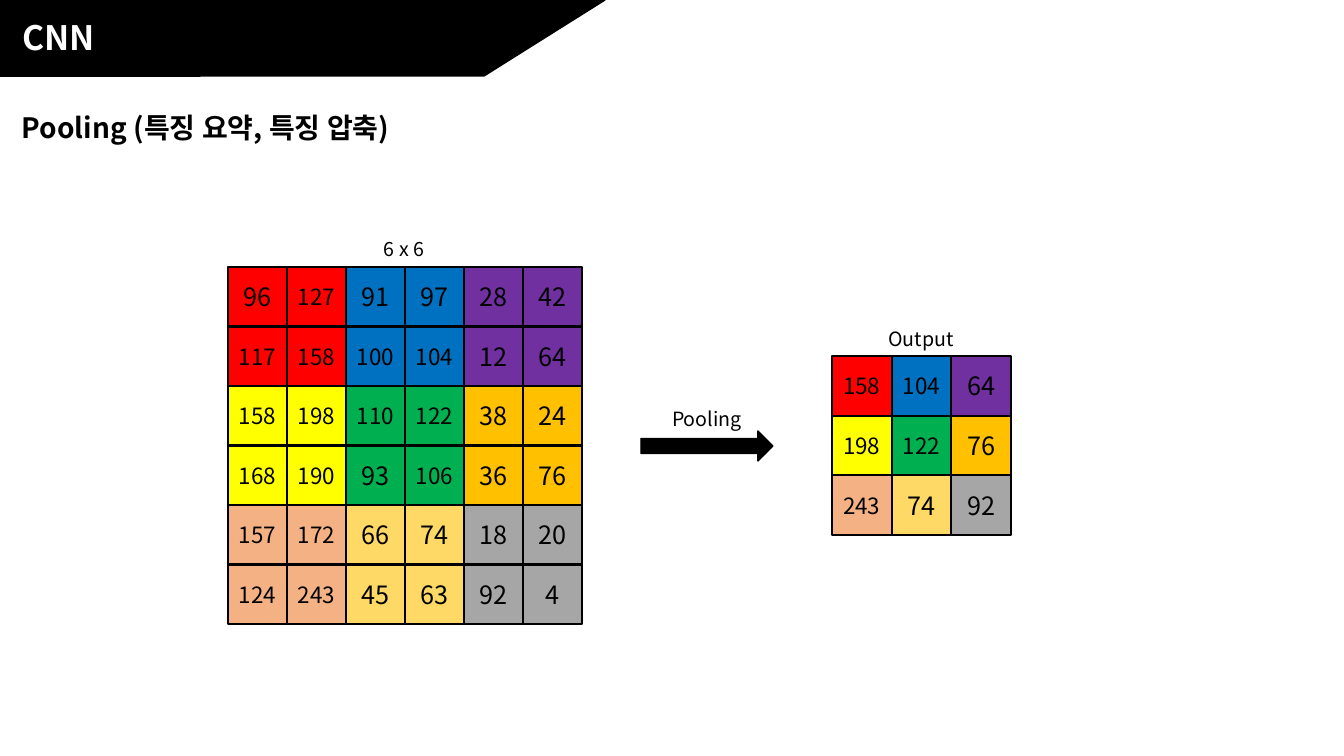
from lxml.etree import SubElement
from pptx import Presentation
from pptx.dml.color import RGBColor
from pptx.enum.shapes import MSO_SHAPE
from pptx.enum.text import MSO_ANCHOR, PP_ALIGN
from pptx.oxml.ns import qn
from pptx.util import Pt

TITLE = "CNN"
HEAD = "Pooling (특징 요약, 특징 압축)"
INPUT = [
    [96, 127, 91, 97, 28, 42],
    [117, 158, 100, 104, 12, 64],
    [158, 198, 110, 122, 38, 24],
    [168, 190, 93, 106, 36, 76],
    [157, 172, 66, 74, 18, 20],
    [124, 243, 45, 63, 92, 4],
]
POOL = 2
ZONES = [
    ["red", "blue", "purple"],
    ["yellow", "green", "orange"],
    ["peach", "sand", "gray"],
]
COLORS = {
    "black": "000000", "white": "FFFFFF", "red": "FF0000", "blue": "0070C0",
    "purple": "7030A0", "yellow": "FFFF00", "green": "00B050",
    "orange": "FFC000", "peach": "F4B183", "sand": "FFD966", "gray": "A6A6A6",
}
FONT = "Noto Sans CJK KR"
SCALE = 914400 / 100.8


def emu(*sizes):
    return [round(size * SCALE) for size in sizes]


def color(name):
    return RGBColor.from_string(COLORS[name])


def write(shape, text, size, ink="black", align=PP_ALIGN.LEFT, bold=False):
    frame = shape.text_frame
    frame.word_wrap = True
    frame.text = text
    line = frame.paragraphs[0]
    line.alignment = align
    for run in line.runs:
        font = run.font
        font.name, font.size, font.bold = FONT, Pt(size), bold
        font.color.rgb = color(ink)
        SubElement(font._element, qn("a:ea"), typeface=FONT)


def draw(parent, kind, box, fill, width):
    shape = parent.add_shape(kind, *emu(*box))
    shape.shadow.inherit = False
    shape.fill.solid()
    shape.fill.fore_color.rgb = color(fill)
    shape.line.color.rgb = color("black")
    shape.line.width = Pt(width)
    return shape


def label(parent, text, box, size=14, align=PP_ALIGN.CENTER, bold=False):
    write(parent.add_textbox(*emu(*box)), text, size, align=align, bold=bold)


def matrix(parent, rows, box, step):
    """Draw one square per value; each zone colour spans step cells."""
    left, top, width, height = box
    wide, high = width / len(rows[0]), height / len(rows)
    for r, row in enumerate(rows):
        for c, value in enumerate(row):
            place = (left + c * wide, top + r * high, wide, high)
            fill = ZONES[r // step][c // step]
            cell = draw(parent, MSO_SHAPE.RECTANGLE, place, fill, 1.5)
            frame = cell.text_frame
            frame.margin_left = frame.margin_right = 0
            frame.vertical_anchor = MSO_ANCHOR.MIDDLE
            write(cell, str(value), 16 if value > 99 else 18,
                  align=PP_ALIGN.CENTER)


def pool(rows):
    """Keep the largest value of every POOL by POOL block."""
    return [
        [max(v for row in rows[r:r + POOL] for v in row[c:c + POOL])
         for c in range(0, len(rows[0]), POOL)]
        for r in range(0, len(rows), POOL)
    ]


def main():
    deck = Presentation()
    deck.slide_width, deck.slide_height = emu(1344, 756)
    slide = deck.slides.add_slide(deck.slide_layouts[5])
    shapes = slide.shapes

    draw(shapes, MSO_SHAPE.RECTANGLE, (0, 0, 200, 76), "black", 1)
    draw(shapes, MSO_SHAPE.FLOWCHART_DATA, (0, 0, 605, 76), "black", 1)
    title = shapes.title
    title.left, title.top, title.width, title.height = emu(12, 12, 374, 51)
    write(title, TITLE, 24, "white", bold=True)
    title.text_frame.vertical_anchor = MSO_ANCHOR.TOP
    shapes._spTree.append(title._element)
    label(shapes, HEAD, (12, 106, 851, 44), 20, PP_ALIGN.LEFT, True)

    source = shapes.add_group_shape().shapes
    matrix(source, INPUT, (228, 267, 354, 357), POOL)
    label(source, "6 x 6", (315, 232, 178, 34))

    output = shapes.add_group_shape().shapes
    label(output, "Output", (832, 322, 178, 34))
    matrix(output, pool(INPUT), (832, 356, 179, 179), 1)

    flow = shapes.add_group_shape().shapes
    draw(flow, MSO_SHAPE.RIGHT_ARROW, (641, 431, 132, 30), "black", 1)
    label(flow, "Pooling", (618, 402, 178, 34))
    deck.save("out.pptx")


if __name__ == "__main__":
    main()
